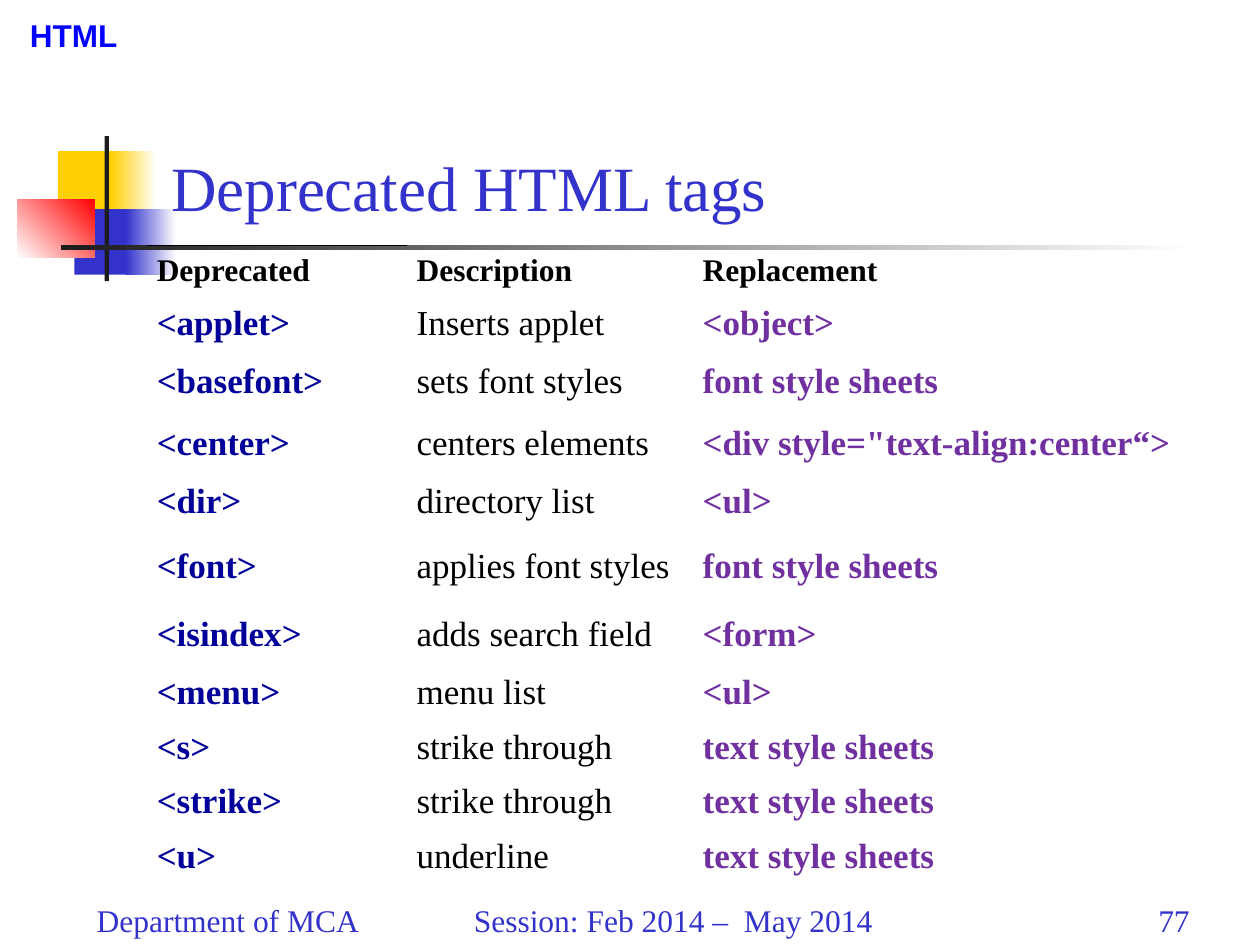
"""Build the slide that lists deprecated HTML tags and their replacements."""
from dataclasses import dataclass

from lxml.etree import SubElement
from pptx import Presentation
from pptx.dml.color import RGBColor
from pptx.enum.shapes import MSO_SHAPE
from pptx.enum.text import MSO_ANCHOR
from pptx.oxml import parse_xml
from pptx.oxml.ns import nsdecls, qn
from pptx.util import Pt


@dataclass(frozen=True)
class Theme:
    serif: str = "Times New Roman"
    sans: str = "Arial"
    white: str = "FFFFFF"
    black: str = "000000"
    dark: str = "1C1C1C"
    gold: str = "FFCF01"
    red: str = "FF0000"
    blue: str = "3333CC"
    bright: str = "0000FF"
    navy: str = "000099"
    purple: str = "7030A0"
    title: int = 36
    body: int = 20
    small: int = 18


@dataclass(frozen=True)
class Box:
    left: float
    top: float
    width: float
    height: float

    def spread(self) -> list:
        return [Pt(n) for n in (self.left, self.top, self.width, self.height)]


@dataclass(frozen=True)
class Block:
    box: Box
    start: str
    end: str = ""
    angle: int = 0


@dataclass(frozen=True)
class Style:
    size: int
    color: str
    bold: bool = False
    font: str = Theme.serif


@dataclass(frozen=True)
class Label:
    box: Box
    text: str
    style: Style
    anchor: MSO_ANCHOR = MSO_ANCHOR.TOP
    tabs: tuple = ()


THEME = Theme()
BLOCKS = (
    Block(Box(33.1, 86.4, 34.6, 37.4), THEME.gold),
    Block(Box(63.4, 86.4, 25.9, 37.4), THEME.gold, THEME.white),
    Block(Box(42.5, 119.5, 33.1, 37.4), THEME.blue),
    Block(Box(72, 119.5, 28.8, 37.4), THEME.blue, THEME.white),
    Block(Box(10, 113.8, 44, 33.1), THEME.white, THEME.red, 45),
    Block(Box(59.8, 77.8, 2.4, 82.8), THEME.dark),
    Block(Box(34.6, 140.2, 648, 2.4), THEME.dark, THEME.white),
)
LABELS = (
    Label(Box(10, 5.8, 69.8, 28.8), "HTML",
          Style(THEME.small, THEME.bright, True, THEME.sans)),
    Label(Box(48.2, 511.2, 660.2, 28.8),
          "Department of MCA\tSession: Feb 2014 –  May 2014\t77",
          Style(THEME.small, THEME.blue),
          tabs=((215.5, "l"), (624.6, "r"))),
    Label(Box(90.7, 16.6, 613.4, 115.2), "Deprecated HTML tags",
          Style(THEME.title, THEME.blue), MSO_ANCHOR.BOTTOM),
)
GRID = Box(84.2, 140.4, 594, 352)
COLS = (148.5, 163.5, 282)
ROWS = (
    (26.6, "Deprecated", "Description", "Replacement"),
    (29.5, "<applet>", "Inserts applet", "<object>"),
    (35.3, "<basefont>", "sets font styles", "font style sheets"),
    (35.3, "<center>", "centers elements", '<div style="text-align:center“>'),
    (29.5, "<dir>", "directory list", "<ul>"),
    (42.5, "<font>", "applies font styles", "font style sheets"),
    (35.3, "<isindex>", "adds search field", "<form>"),
    (29.5, "<menu>", "menu list", "<ul>"),
    (29.5, "<s>", "strike through", "text style sheets"),
    (29.5, "<strike>", "strike through", "text style sheets"),
    (29.5, "<u>", "underline", "text style sheets"),
)
HEAD = Style(THEME.small, THEME.black, True)
STYLES = (
    Style(THEME.body, THEME.navy, True),
    Style(THEME.body, THEME.black),
    Style(THEME.body, THEME.purple, True),
)
PLAIN = "{2D5ABB26-0587-4C30-8999-92F81FD0307C}"


def tint(code: str) -> RGBColor:
    return RGBColor.from_string(code)


def write(para, text: str, style: Style) -> None:
    run = para.add_run()
    run.text = text
    run.font.name = style.font
    run.font.size = Pt(style.size)
    run.font.bold = style.bold
    run.font.color.rgb = tint(style.color)


def draw_block(slide, block: Block) -> None:
    shape = slide.shapes.add_shape(MSO_SHAPE.RECTANGLE, *block.box.spread())
    shape.shadow.inherit = False
    shape.line.fill.background()
    if block.end:
        shape.fill.gradient()
        shape.fill.gradient_angle = block.angle
        for stop, code in zip(shape.fill.gradient_stops, (block.start, block.end)):
            stop.color.rgb = tint(code)
    else:
        shape.fill.solid()
        shape.fill.fore_color.rgb = tint(block.start)


def draw_label(slide, label: Label) -> None:
    frame = slide.shapes.add_textbox(*label.box.spread()).text_frame
    frame.word_wrap = True
    frame.vertical_anchor = label.anchor
    para = frame.paragraphs[0]
    if label.tabs:
        stops = SubElement(para._p.get_or_add_pPr(), qn("a:tabLst"))
        for place, side in label.tabs:
            SubElement(stops, qn("a:tab"), pos=str(int(Pt(place))), algn=side)
    write(para, label.text, label.style)


def fill_cell(cell, text: str, style: Style) -> None:
    cell.fill.background()
    cell.vertical_anchor = MSO_ANCHOR.MIDDLE
    cell.margin_left = cell.margin_right = Pt(5.4)
    cell.margin_top = cell.margin_bottom = Pt(3.6)
    write(cell.text_frame.paragraphs[0], text, style)


def rule_top(cell, color: str, width: float) -> None:
    line = parse_xml(
        f'<a:lnT {nsdecls("a")} w="{int(Pt(width))}"><a:solidFill>'
        f'<a:srgbClr val="{color}"/></a:solidFill></a:lnT>')
    cell._tc.get_or_add_tcPr().insert(0, line)


def draw_table(slide) -> None:
    table = slide.shapes.add_table(len(ROWS), len(COLS), *GRID.spread()).table
    table.first_row = table.horz_banding = False
    table._tbl.tblPr.find(qn("a:tableStyleId")).text = PLAIN
    for col, width in zip(table.columns, COLS):
        col.width = Pt(width)
    for y, (height, *texts) in enumerate(ROWS):
        table.rows[y].height = Pt(height)
        for x, text in enumerate(texts):
            fill_cell(table.cell(y, x), text, STYLES[x] if y else HEAD)
    rule_top(table.cell(0, 0), THEME.black, 0.45)


def main() -> None:
    deck = Presentation()
    deck.slide_width, deck.slide_height = Pt(720), Pt(540)
    slide = deck.slides.add_slide(deck.slide_layouts[6])
    for block in BLOCKS:
        draw_block(slide, block)
    for label in LABELS:
        draw_label(slide, label)
    draw_table(slide)
    deck.save("out.pptx")


if __name__ == "__main__":
    main()
